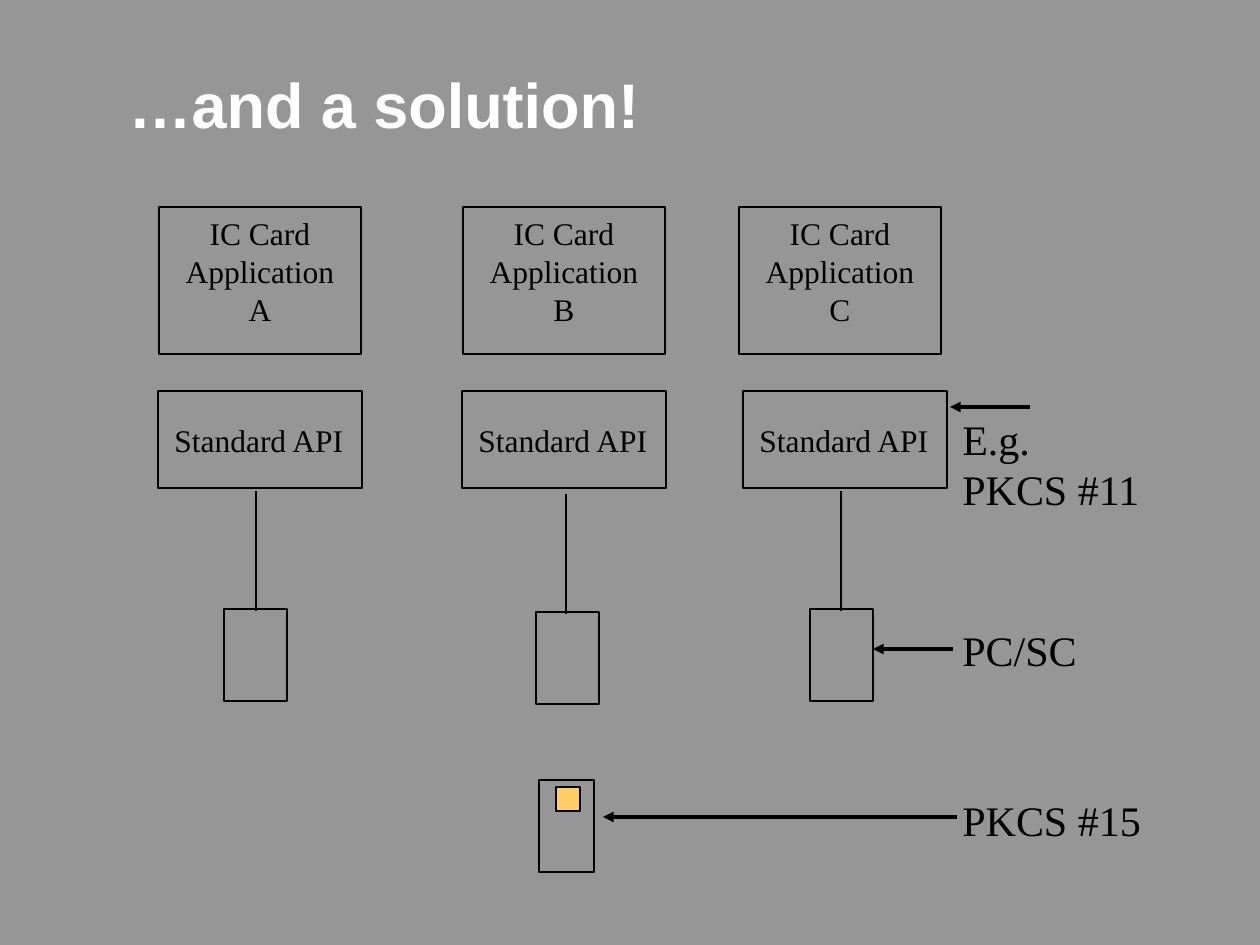
from pptx import Presentation
from pptx.dml.color import RGBColor
from pptx.enum.shapes import MSO_CONNECTOR, MSO_SHAPE
from pptx.enum.text import MSO_ANCHOR, MSO_AUTO_SIZE, PP_ALIGN
from pptx.oxml.ns import qn
from pptx.util import Emu, Pt
from lxml import etree

GREY = RGBColor(0x96, 0x96, 0x96)
BLACK = RGBColor(0x00, 0x00, 0x00)
WHITE = RGBColor(0xFF, 0xFF, 0xFF)
GOLD = RGBColor(0xFF, 0xCC, 0x66)
SERIF = "Times New Roman"
SANS = "Arial"
RECT = MSO_SHAPE.RECTANGLE
STRAIGHT = MSO_CONNECTOR.STRAIGHT
MIDDLE = MSO_ANCHOR.MIDDLE
NO_FIT = MSO_AUTO_SIZE.NONE
GROW = MSO_AUTO_SIZE.SHAPE_TO_FIT_TEXT
LEFT = PP_ALIGN.LEFT
CENTER = PP_ALIGN.CENTER
TITLE_ONLY = 5


def px(n):
    return Emu(round(n * 914400 / 126))


class Deck:
    def __init__(self, width, height):
        self.prs = Presentation()
        self.prs.slide_width = px(width)
        self.prs.slide_height = px(height)
        self.s = None

    def add_slide(self, color):
        self.s = self.prs.slides.add_slide(self.prs.slide_layouts[TITLE_ONLY])
        fill = self.s.background.fill
        fill.solid()
        fill.fore_color.rgb = color

    def style(self, p, size, font, color, bold=False):
        for r in p.runs:
            r.font.size = Pt(size)
            r.font.name = font
            r.font.color.rgb = color
            r.font.bold = bold

    def title(self, text, x, y, w, h):
        sp = self.s.shapes.title
        sp.left, sp.top, sp.width, sp.height = map(px, (x, y, w, h))
        tf = sp.text_frame
        tf.text = text
        tf.auto_size = NO_FIT
        tf.vertical_anchor = MIDDLE
        p = tf.paragraphs[0]
        p.alignment = LEFT
        p.line_spacing = 1.1
        p.space_before = Pt(22.5)
        self.style(p, 36, SANS, WHITE, True)

    def box(self, x, y, w, h, fill=None):
        sp = self.s.shapes.add_shape(RECT, *map(px, (x, y, w, h)))
        sp.shadow.inherit = False
        if fill is None:
            sp.fill.background()
        else:
            sp.fill.solid()
            sp.fill.fore_color.rgb = fill
        sp.line.color.rgb = BLACK
        sp.line.width = Pt(1)

    def text(self, text, x, y, w, h, size, align=LEFT):
        tf = self.s.shapes.add_textbox(*map(px, (x, y, w, h))).text_frame
        tf.text = text
        tf.word_wrap = False
        tf.auto_size = GROW
        for p in tf.paragraphs:
            p.alignment = align
            self.style(p, size, SERIF, BLACK)

    def line(self, x1, y1, x2, y2, width=1, arrow=False):
        c = self.s.shapes.add_connector(STRAIGHT, *map(px, (x1, y1, x2, y2)))
        c.line.color.rgb = BLACK
        c.line.width = Pt(width)
        if arrow:
            etree.SubElement(c.line._get_or_add_ln(), qn("a:headEnd"), type="triangle")
        etree.SubElement(c._element.spPr, qn("a:effectLst"))


def main():
    deck = Deck(1260, 945)
    deck.add_slide(GREY)
    deck.title("…and a solution!", 116, 21, 945, 158)

    columns = [
        ("A", 159, 158, 224, 256, 0),
        ("B", 463, 462, 536, 566, 3),
        ("C", 739, 743, 810, 841, 0),
    ]
    for name, app_x, api_x, reader_x, wire_x, drop in columns:
        deck.box(app_x, 207, 202, 147)
        deck.text(f"IC Card\nApplication\n{name}", app_x + 14, 208, 174, 126, 18, CENTER)
        deck.box(api_x, 391, 204, 97)
        deck.text("Standard API", api_x + 4, 415, 195, 50, 18)
        deck.line(wire_x, 491 + drop, wire_x, 611 + drop)
        deck.box(reader_x, 609 + drop, 63, 92)

    deck.box(539, 780, 55, 92)
    deck.box(556, 787, 24, 24, GOLD)

    labels = [
        ("E.g.\nPKCS #11", 407, 204, 113, 950, 1030, 407),
        ("PC/SC", 618, 140, 63, 873, 953, 649),
        ("PKCS #15", 788, 204, 63, 603, 957, 817),
    ]
    for text, top, width, height, tip_x, end_x, arrow_y in labels:
        deck.text(text, 950, top, width, height, 24)
        deck.line(tip_x, arrow_y, end_x, arrow_y, 2, True)

    deck.prs.save("out.pptx")


if __name__ == "__main__":
    main()
